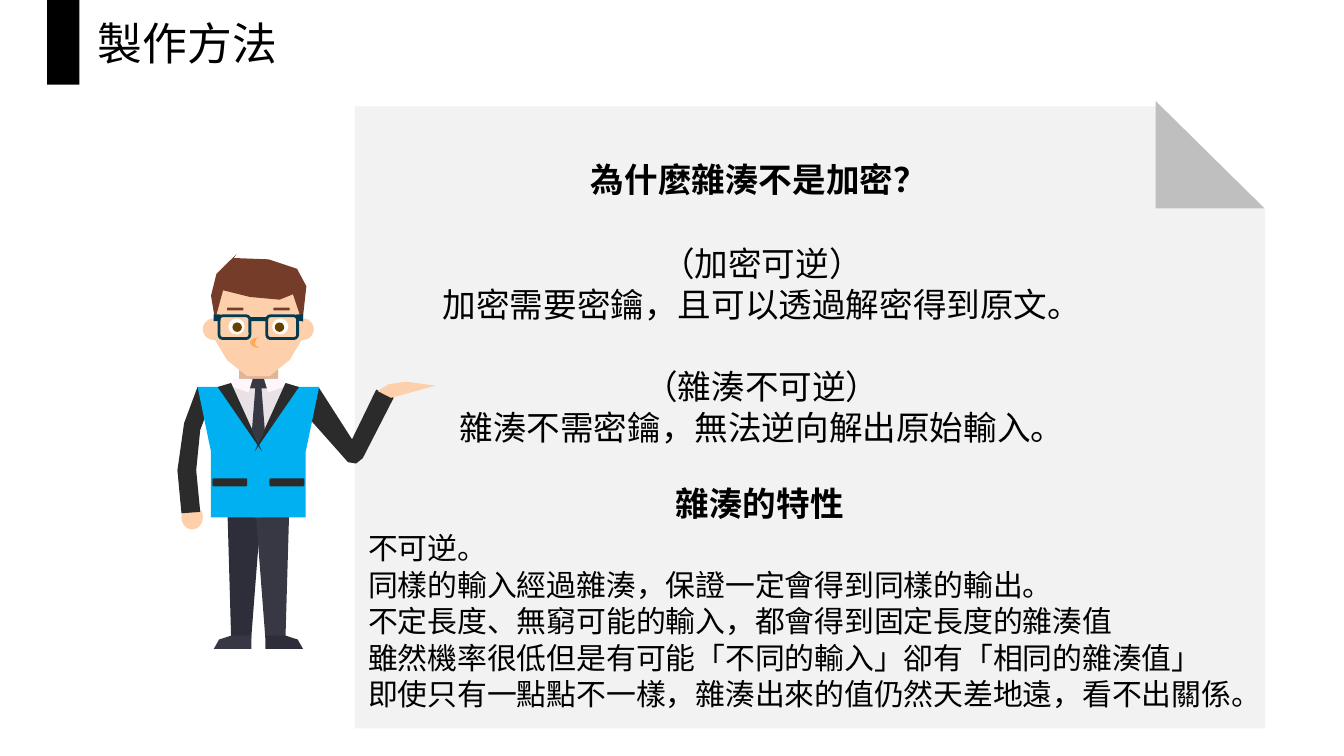
from dataclasses import dataclass

from lxml.etree import SubElement
from pptx import Presentation
from pptx.dml.color import RGBColor
from pptx.enum.shapes import MSO_SHAPE as Preset
from pptx.enum.text import MSO_AUTO_SIZE as AutoSize, PP_ALIGN as Align
from pptx.oxml.ns import qn
from pptx.util import Cm, Pt

COLORS = {
    "black": "000000", "white": "FFFFFF", "paper": "F2F2F2", "fold": "BFBFBF",
    "jacket": "2B2B2B", "vest": "00B0F0", "shirt": "E8E1E5", "collar": "FEF6FA",
    "slate": "373844", "dark slate": "2D2E3A", "skin": "FDD0AB", "neck": "E0B496",
    "nose": "FFAB5C", "hair": "753C29", "iris": "664000", "glasses": "043A4F",
}
CJK = "Noto Sans CJK SC"
LINE_HEIGHT = 1.22

# The presenter is drawn on a grid of hundredths of an inch.
GRID = Cm(2.54) // 100
MIRROR_SUM = 384.5  # x + mirrored x, about the body's centre line


@dataclass(frozen=True)
class Block:
    preset: Preset
    box: tuple[float, float, float, float]
    color: str
    mirror_color: str = ""
    hollow: bool = False


@dataclass(frozen=True)
class Outline:
    """A polygon; a symmetric one lists only its left half, from top to bottom."""
    color: str
    points: list[tuple[float, float]]
    mirror_color: str = ""
    symmetric: bool = False


@dataclass(frozen=True)
class Text:
    box: tuple[float, float, float, float]
    size: int
    lines: list[str]
    font: str = CJK
    bold: bool = False
    wrap: bool = False
    align: Align = Align.LEFT
    gap_before: int = -1  # index of a line set off by one line of space


PANELS = [
    Block(Preset.SNIP_1_RECTANGLE, (6.71, 2.01, 17.2, 11.76), "paper"),
    Block(Preset.RIGHT_TRIANGLE, (21.84, 1.91, 2.06, 2.03), "fold"),
    Block(Preset.RECTANGLE, (0.89, 0, 0.61, 1.6), "black"),
]

PRESENTER = [
    Outline("jacket", [(237, 288), (262, 327), (280, 290), (293, 296),
                       (270, 341), (265, 345), (259, 344), (227, 308)]),
    Block(Preset.RECTANGLE, (178, 275, 29, 10), "neck"),
    Block(Preset.OVAL, (151, 237, 16, 16), "skin", "skin"),
    Outline("skin", [(160, 209), (160, 253), (169, 268), (184, 280)], symmetric=True),
    Outline("dark slate", [(169, 371), (195, 371), (187, 475), (172, 475)], "slate"),
    Block(Preset.RECTANGLE, (166, 288, 52, 50), "shirt"),
    Block(Preset.RECTANGLE, (186, 282, 13, 7), "slate"),
    Outline("slate", [(190, 288), (184, 364), (192, 371)], symmetric=True),
    Outline("collar", [(173, 282), (188, 282), (185, 292), (173, 288)], "collar"),
    Block(Preset.OVAL, (135, 376, 16, 18), "skin"),
    Outline("jacket", [(147, 288), (160, 291), (149, 320), (146, 350),
                       (149, 381), (135, 382), (132, 350), (137, 315)]),
    Outline("vest", [(147, 288), (173, 288), (195, 336),
                     (195, 385), (157, 385), (157, 336)], "vest"),
    Outline("jacket", [(162, 288), (172, 285), (195, 336)], "jacket"),
    Outline("hair", [(160, 238), (157, 220), (161, 204), (176, 189), (174, 192), (200, 193),
                     (221, 200), (228, 213), (225, 240), (218, 219), (208, 223),
                     (186, 221), (166, 216)]),
    Outline("slate", [(159, 483), (163, 476), (172, 473), (187, 473), (187, 483)],
            "dark slate"),
    Block(Preset.ROUNDED_RECTANGLE, (158, 356, 26, 6), "jacket", "jacket"),
    Outline("skin", [(281, 291), (289, 286), (302, 284), (324, 287), (291, 296)]),
    Block(Preset.MOON, (186, 251, 7, 8), "nose"),
    Block(Preset.ROUNDED_RECTANGLE, (169, 229, 12, 2), "hair", "hair"),
    Block(Preset.OVAL, (170, 237, 12, 12), "white", "white"),
    Block(Preset.OVAL, (173, 240, 7, 7), "iris", "iris"),
    Block(Preset.ROUNDED_RECTANGLE, (163, 235, 23, 17), "glasses", "glasses", hollow=True),
    Block(Preset.RECTANGLE, (159, 234, 5, 5), "glasses", "glasses"),
    Block(Preset.RECTANGLE, (186, 236, 12.5, 3), "glasses"),
]

TEXTS = [
    Text((1.6, 0.15, 5.11, 1.27), 24, ["製作方法"], wrap=True, align=Align.JUSTIFY),
    Text((10.92, 2.87, 6.96, 1.02), 18, ["為什麼雜湊不是加密？"], font="Calibri", bold=True),
    Text((7.54, 4.45, 13.72, 4.11), 18,
         ["（加密可逆）", "加密需要密鑰，且可以透過解密得到原文。",
          "（雜湊不可逆）", "雜湊不需密鑰，無法逆向解出原始輸入。"],
         wrap=True, align=Align.CENTER, gap_before=2),
    Text((12.52, 8.99, 3.73, 1.02), 18, ["雜湊的特性"], bold=True),
    Text((6.71, 9.88, 17.6, 3.68), 16,
         ["不可逆。", "同樣的輸入經過雜湊，保證一定會得到同樣的輸出。",
          "不定長度、無窮可能的輸入，都會得到固定長度的雜湊值",
          "雖然機率很低但是有可能「不同的輸入」卻有「相同的雜湊值」",
          "即使只有一點點不一樣，雜湊出來的值仍然天差地遠，看不出關係。"]),
]


def paint(shape, color: str, hollow: bool = False) -> None:
    shape.shadow.inherit = False
    rgb = RGBColor.from_string(COLORS[color])
    if hollow:
        shape.fill.background()
        shape.line.color.rgb = rgb
        shape.line.width = Pt(1.5)
    else:
        shape.fill.solid()
        shape.fill.fore_color.rgb = rgb
        shape.line.fill.background()


def draw_block(slide, block: Block, unit: int) -> None:
    left, top, width, height = block.box
    copies = [(left, block.color)]
    if block.mirror_color:
        copies.append((MIRROR_SUM - left - width, block.mirror_color))
    for x, color in copies:
        box = [int(value * unit) for value in (x, top, width, height)]
        paint(slide.shapes.add_shape(block.preset, *box), color, block.hollow)


def draw_polygon(slide, points: list[tuple[float, float]], color: str) -> None:
    start, *others = [(x * GRID, y * GRID) for x, y in points]
    builder = slide.shapes.build_freeform(*start)
    builder.add_line_segments(others, close=True)
    paint(builder.convert_to_shape(), color)


def draw_outline(slide, outline: Outline) -> None:
    mirrored = [(MIRROR_SUM - x, y) for x, y in outline.points]
    if outline.symmetric:
        draw_polygon(slide, outline.points + mirrored[::-1], outline.color)
        return
    draw_polygon(slide, outline.points, outline.color)
    if outline.mirror_color:
        draw_polygon(slide, mirrored, outline.mirror_color)


def draw_text(slide, text: Text) -> None:
    frame = slide.shapes.add_textbox(*map(Cm, text.box)).text_frame
    frame.word_wrap = text.wrap
    frame.auto_size = AutoSize.SHAPE_TO_FIT_TEXT
    line_height = Pt(text.size * LINE_HEIGHT)
    for index, line in enumerate(text.lines):
        paragraph = frame.add_paragraph() if index else frame.paragraphs[0]
        paragraph.alignment = text.align
        paragraph.line_spacing = line_height
        if index == text.gap_before:
            paragraph.space_before = line_height
        run = paragraph.add_run()
        run.text = line
        run.font.size = Pt(text.size)
        run.font.bold = text.bold
        run.font.name = text.font
        run.font.color.rgb = RGBColor.from_string(COLORS["black"])
        SubElement(run._r.get_or_add_rPr(), qn("a:ea"), typeface=text.font)


def main() -> None:
    presentation = Presentation()
    presentation.slide_width, presentation.slide_height = Cm(25.4), Cm(14.29)
    slide = presentation.slides.add_slide(presentation.slide_layouts[6])
    for panel in PANELS:
        draw_block(slide, panel, Cm(1))
    for part in PRESENTER:
        if isinstance(part, Block):
            draw_block(slide, part, GRID)
        else:
            draw_outline(slide, part)
    for text in TEXTS:
        draw_text(slide, text)
    presentation.save("out.pptx")


if __name__ == "__main__":
    main()
